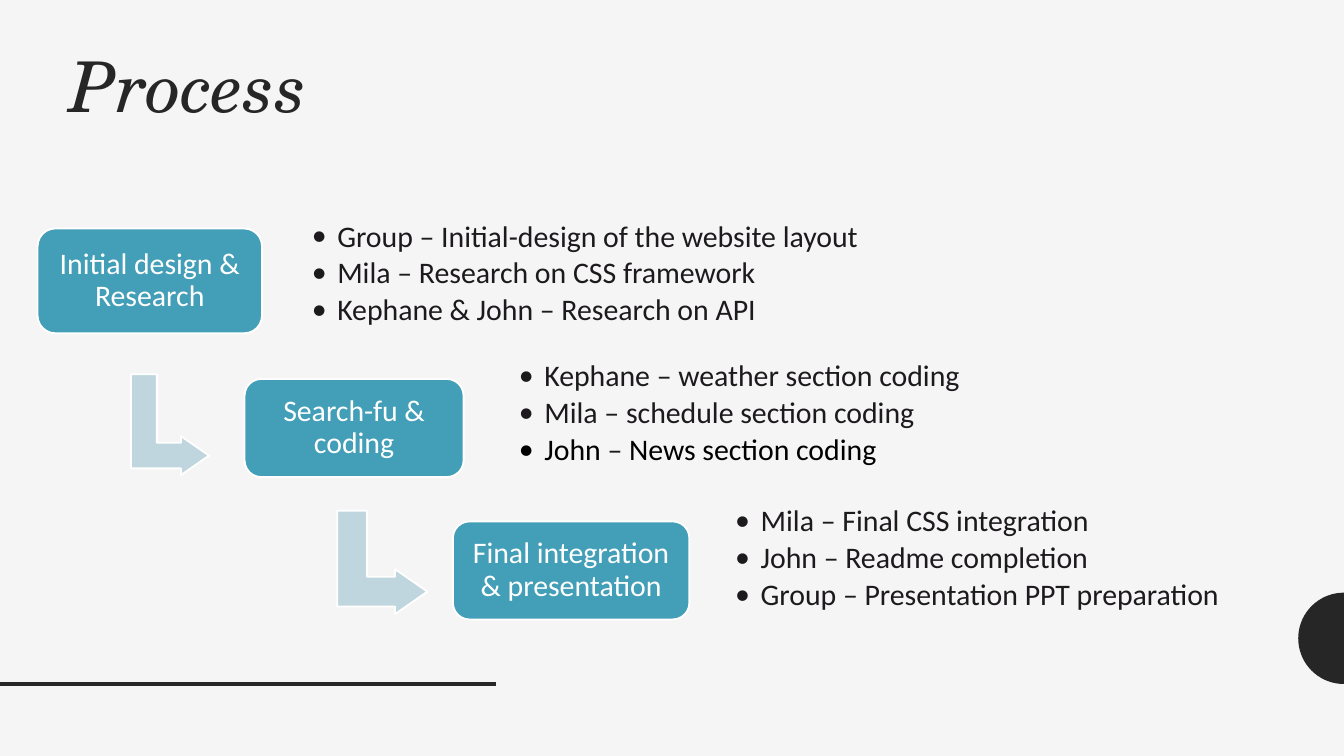
from math import cos, pi, sin

from lxml.etree import SubElement
from pptx import Presentation
from pptx.dml.color import RGBColor
from pptx.enum.shapes import MSO_CONNECTOR, MSO_SHAPE as SHAPE
from pptx.enum.text import MSO_ANCHOR as ANCHOR, PP_ALIGN as ALIGN
from pptx.oxml.ns import qn
from pptx.util import Inches, Pt

PAPER = RGBColor(0xF5, 0xF5, 0xF5)
DARK = RGBColor(0x26, 0x26, 0x26)
TEAL = RGBColor(0x43, 0x9E, 0xB7)
PALE = RGBColor(0xC0, 0xD6, 0xDF)
INK = RGBColor(0x1D, 0x1A, 0x1D)
BLACK = RGBColor(0, 0, 0)
WHITE = RGBColor(0xFF, 0xFF, 0xFF)

TITLE_FONT = {"name": "TeX Gyre Schola", "size": Pt(37.5), "italic": True}
BODY_FONT = {"name": "Calibri", "size": Pt(16)}

# Boxes are left, top, width, height in inches; each bullet is a list of runs.
STEPS = [
    {"label": "Initial design & Research",
     "box": (0.28, 1.7, 1.67, 0.78),
     "notes_box": (2.25, 1.59, 5.3, 0.9),
     "arrow": (0.89, 2.87, 0.75, 0.58),
     "notes": [[("Group – Initial-design of the website layout", INK)],
               [("Mila – Research on CSS framework", INK)],
               [("Kephane & John – Research on API", INK)]]},
    {"label": "Search-fu & coding",
     "box": (1.82, 2.82, 1.63, 0.73),
     "notes_box": (3.79, 2.63, 3.81, 0.9),
     "arrow": (2.46, 3.85, 0.77, 0.67),
     "notes": [[("Kephane – weather section coding", INK)],
               [("Mila – schedule section coding", INK)],
               [("John ", BLACK), ("– ", INK), ("News section coding", BLACK)]]},
    {"label": "Final integration & presentation",
     "box": (3.37, 3.88, 1.76, 0.73),
     "notes_box": (5.4, 3.71, 4.36, 0.9),
     "arrow": None,
     "notes": [[("Mila – Final CSS integration", INK)],
               [("John – Readme completion", INK)],
               [("Group – Presentation PPT preparation", INK)]]},
]


def inches(box):
    return [Inches(v) for v in box]


def set_frame(sp, anchor, inset_x, inset_y):
    tf = sp.text_frame
    tf.word_wrap = True
    tf.vertical_anchor = anchor
    tf.margin_left = tf.margin_right = Inches(inset_x)
    tf.margin_top = tf.margin_bottom = Inches(inset_y)
    return tf


def add_run(p, text, color, font):
    p.line_spacing = 0.9
    r = p.add_run()
    r.text = text
    for name, value in font.items():
        setattr(r.font, name, value)
    r.font.color.rgb = color


def add_preset(kind, box, fill, adjustments):
    sp = s.shapes.add_shape(kind, *inches(box))
    sp.shadow.inherit = False
    sp.fill.solid()
    sp.fill.fore_color.rgb = fill
    sp.line.color.rgb = WHITE
    sp.line.width = Pt(1)
    for i, value in enumerate(adjustments):
        sp.adjustments[i] = value
    return sp


def add_notes(box, notes):
    tf = set_frame(s.shapes.add_textbox(*inches(box)), ANCHOR.MIDDLE, 0.07, 0.07)
    for i, runs in enumerate(notes):
        p = tf.add_paragraph() if i else tf.paragraphs[0]
        for text, color in runs:
            add_run(p, text, color, BODY_FONT)
        p.level = 1
        p.space_after = Pt(2.4)
        pPr = p._p.get_or_add_pPr()
        pPr.set("marL", str(Inches(0.19)))
        pPr.set("indent", str(-Inches(0.19)))
        SubElement(pPr, qn("a:buFont"), typeface=BODY_FONT["name"])
        SubElement(pPr, qn("a:buChar"), char="•")


prs = Presentation()
prs.slide_width = Inches(10)
prs.slide_height = prs.slide_width * 9 // 16
s = prs.slides.add_slide(prs.slide_layouts[6])
s.background.fill.solid()
s.background.fill.fore_color.rgb = PAPER

# Half disc on the right edge
RADIUS, CENTER_X, CENTER_Y, SEGMENTS = 0.34, 10, 4.75, 36
angles = [pi / 2 + pi * i / SEGMENTS for i in range(SEGMENTS + 1)]
arc = [(Inches(CENTER_X + RADIUS * cos(a)), Inches(CENTER_Y + RADIUS * sin(a)))
       for a in angles]
builder = s.shapes.build_freeform(*arc[0])
builder.add_line_segments(arc[1:], close=True)
half_disc = builder.convert_to_shape()
half_disc.shadow.inherit = False
half_disc.fill.solid()
half_disc.fill.fore_color.rgb = DARK
half_disc.line.fill.background()

rule = s.shapes.add_connector(MSO_CONNECTOR.STRAIGHT, *inches((0, 5.09, 3.69, 5.09)))
rule.line.color.rgb = DARK
rule.line.width = Pt(2)
SubElement(rule._element.spPr, qn("a:effectLst"))

title = s.shapes.add_textbox(*inches((0.42, 0.29, 9.32, 0.63)))
tf = set_frame(title, ANCHOR.TOP, 0.1, 0.1)
add_run(tf.paragraphs[0], "Process", DARK, TITLE_FONT)

for step in STEPS:
    if step["arrow"]:
        arrow = add_preset(SHAPE.BENT_UP_ARROW, step["arrow"], PALE, (0.33, 0.25, 0.36))
        arrow.rotation = 90
    box = add_preset(SHAPE.ROUNDED_RECTANGLE, step["box"], TEAL, (0.17,))
    p = set_frame(box, ANCHOR.MIDDLE, 0.1, 0.1).paragraphs[0]
    p.alignment = ALIGN.CENTER
    add_run(p, step["label"], WHITE, BODY_FONT)
    add_notes(step["notes_box"], step["notes"])

prs.save("out.pptx")
